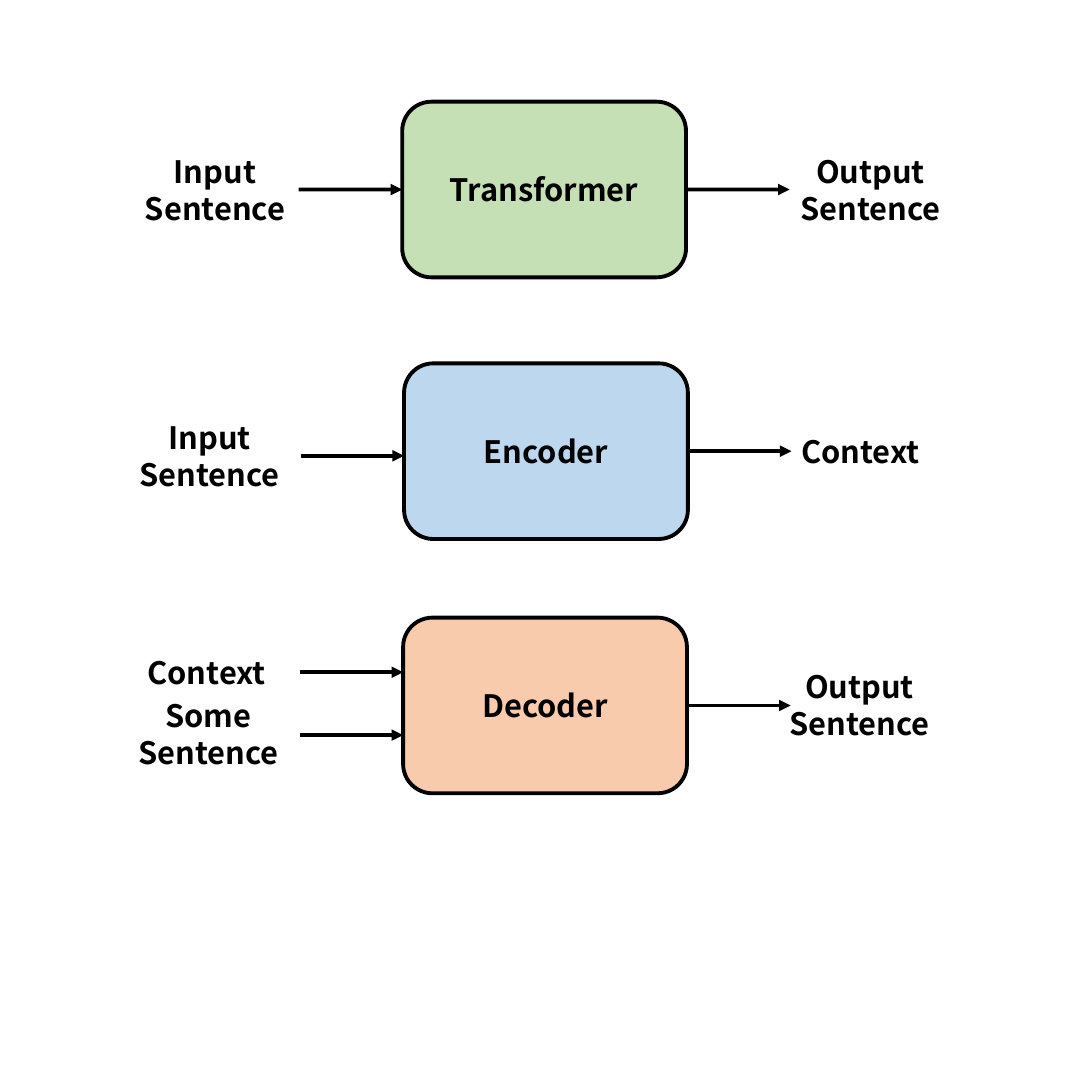
from lxml import etree
from pptx import Presentation
from pptx.dml.color import RGBColor
from pptx.enum import shapes, text
from pptx.oxml import ns
from pptx.util import Inches, Pt

BLACK = "000000"
BLOCK_WIDTH, BLOCK_HEIGHT = 3.07, 1.9
ARROW_LENGTH = 1.12
LEFT_SIDE, RIGHT_SIDE = 1, 3

# name, fill, left, top, heights of the input arrows
blocks = [
    ("Transformer", "C5E0B4", 4.35, 1.1, [2.05]),
    ("Encoder", "BDD7EE", 4.37, 3.93, [4.93]),
    ("Decoder", "F8CBAD", 4.36, 6.68, [7.27, 7.95]),
]

# lines, left, top, width, height
labels = [
    ("Input Sentence", 1.33, 1.6, 1.99, 0.91),
    ("Output Sentence", 8.33, 1.6, 2.17, 0.91),
    ("Input\nSentence", 1.27, 4.48, 1.99, 0.91),
    ("Context", 8.22, 4.63, 2.17, 0.5),
    ("Context", 1.15, 7.02, 2.17, 0.5),
    ("Some\nSentence", 1.26, 7.49, 1.99, 0.91),
    ("Output Sentence", 8.21, 7.17, 2.17, 0.91),
]

deck = Presentation()
deck.slide_width = deck.slide_height = Inches(11.81)
page = deck.slides.add_slide(deck.slide_layouts[6])


def write(box, words):
    frame = box.text_frame
    frame.word_wrap = True
    frame.text = words
    for para in frame.paragraphs:
        para.alignment = text.PP_ALIGN.CENTER
        for span in para.runs:
            span.font.name = "Noto Sans CJK KR"
            span.font.size = Pt(24)
            span.font.bold = True
            span.font.color.rgb = RGBColor.from_string(BLACK)


def add_arrow(left, y):
    arrow = page.shapes.add_connector(
        shapes.MSO_CONNECTOR.STRAIGHT,
        Inches(left), Inches(y), Inches(left + ARROW_LENGTH), Inches(y))
    arrow.line.width = Pt(3)
    arrow.line.color.rgb = RGBColor.from_string(BLACK)
    etree.SubElement(arrow.line._get_or_add_ln(), ns.qn("a:tailEnd"), type="triangle")
    etree.SubElement(arrow._element.spPr, ns.qn("a:effectLst"))
    return arrow


for name, fill, left, top, input_heights in blocks:
    block = page.shapes.add_shape(
        shapes.MSO_SHAPE.ROUNDED_RECTANGLE,
        Inches(left), Inches(top), Inches(BLOCK_WIDTH), Inches(BLOCK_HEIGHT))
    block.shadow.inherit = False
    block.fill.solid()
    block.fill.fore_color.rgb = RGBColor.from_string(fill)
    block.line.color.rgb = RGBColor.from_string(BLACK)
    block.line.width = Pt(3)
    block.text_frame.vertical_anchor = text.MSO_ANCHOR.MIDDLE
    write(block, name)

    middle = round(top + BLOCK_HEIGHT / 2, 2)
    for y in input_heights:
        arrow = add_arrow(left - ARROW_LENGTH, y)
        if y == middle:
            arrow.end_connect(block, LEFT_SIDE)
    add_arrow(left + BLOCK_WIDTH, middle).begin_connect(block, RIGHT_SIDE)

for words, left, top, width, height in labels:
    label = page.shapes.add_textbox(
        Inches(left), Inches(top), Inches(width), Inches(height))
    write(label, words)
    label.text_frame.auto_size = text.MSO_AUTO_SIZE.SHAPE_TO_FIT_TEXT

deck.save("out.pptx")
